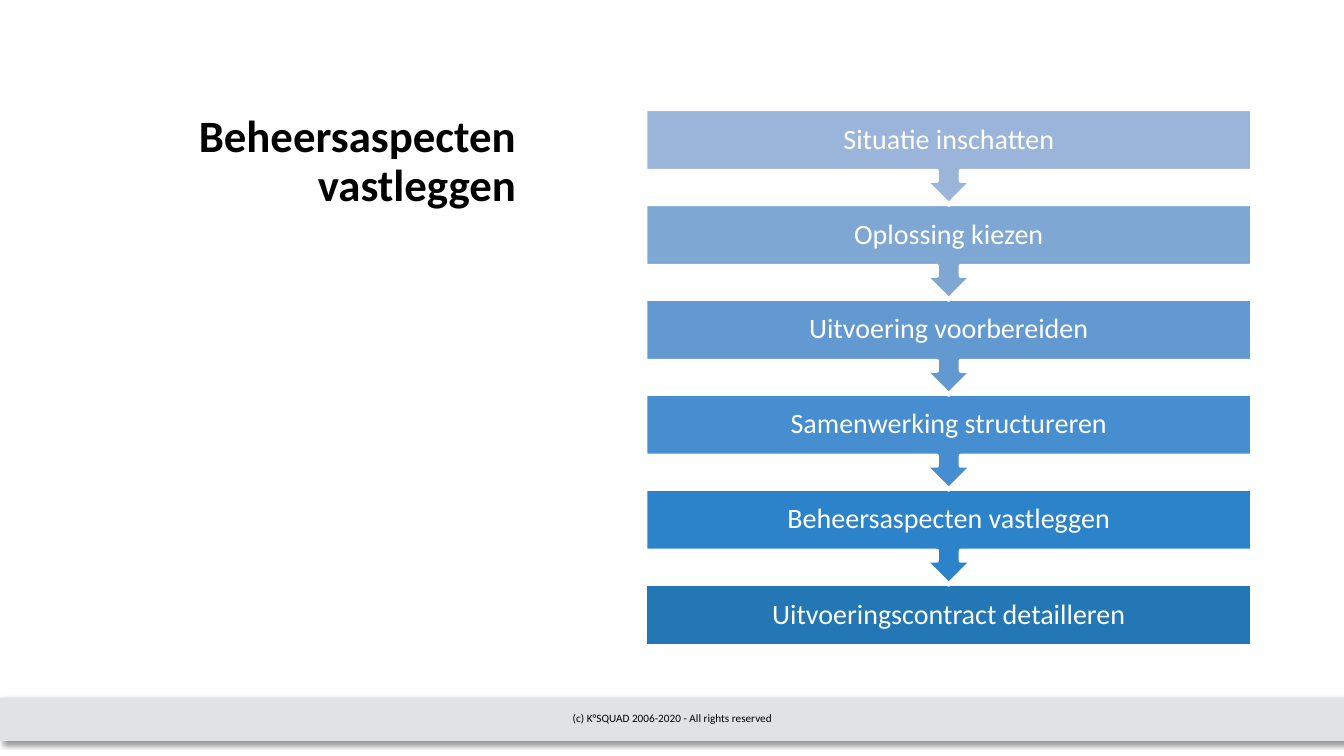
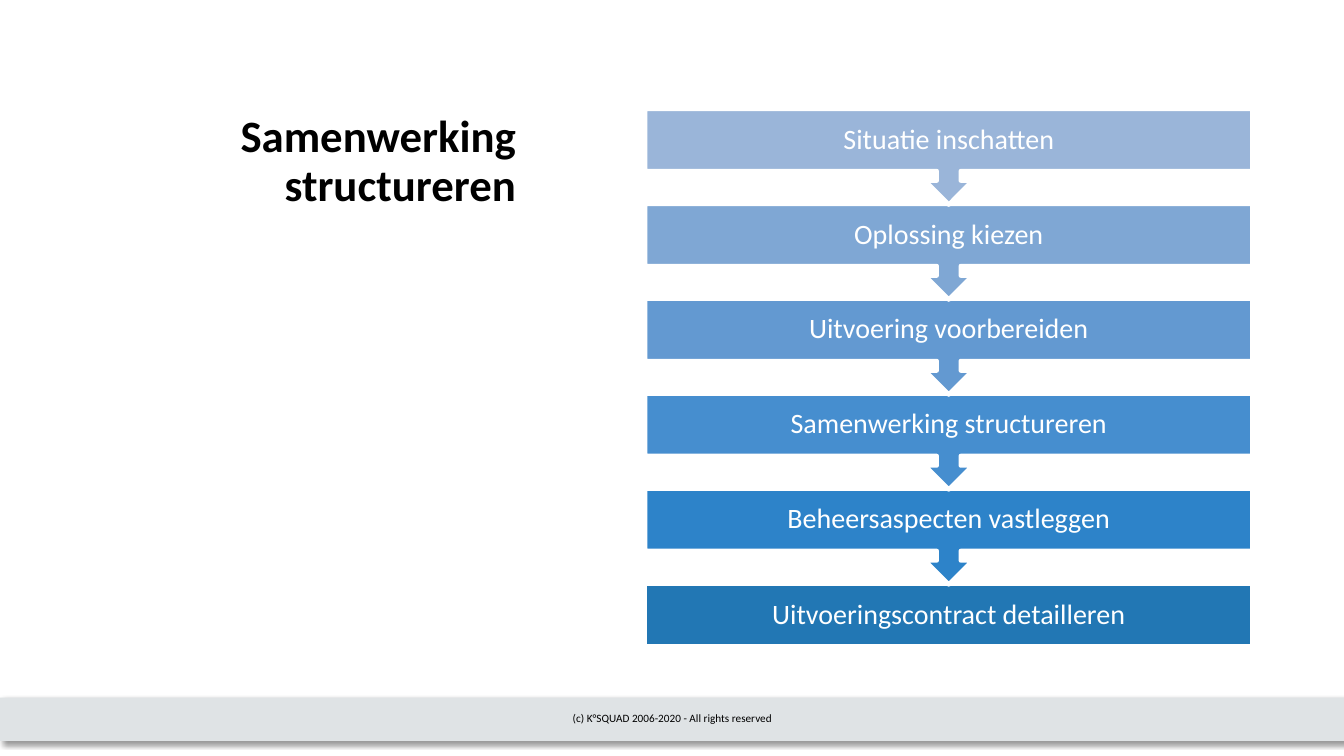
from dataclasses import dataclass

from lxml import etree
from pptx import Presentation
from pptx.dml.color import RGBColor
from pptx.enum.shapes import MSO_SHAPE
from pptx.enum.text import MSO_ANCHOR, MSO_AUTO_SIZE, PP_ALIGN
from pptx.oxml.ns import qn
from pptx.util import Inches, Pt

RECTANGLE = MSO_SHAPE.RECTANGLE
DOWN_CALLOUT = MSO_SHAPE.DOWN_ARROW_CALLOUT
TOP, MIDDLE = MSO_ANCHOR.TOP, MSO_ANCHOR.MIDDLE
CENTER, RIGHT = PP_ALIGN.CENTER, PP_ALIGN.RIGHT
NO_AUTOFIT = MSO_AUTO_SIZE.NONE
TITLE_ONLY = 5


@dataclass(frozen=True)
class Theme:
    """Colours, font and type sizes shared by all slides."""
    font: str = "Calibri"
    black: str = "000000"
    white: str = "FFFFFF"
    band: str = "DFE3E5"
    steps: tuple = ("9AB5D9", "7FA7D4", "6399D1", "468ECF", "2D83C9", "2277B4")
    title_size: int = 32
    step_size: int = 20
    footer_size: int = 8
    outline: float = 3.15


@dataclass(frozen=True)
class Box:
    """A region of the slide in inches."""
    left: float
    top: float
    width: float
    height: float

    def lengths(self):
        """Return left, top, width and height as slide lengths."""
        return [Inches(value) for value in (self.left, self.top, self.width, self.height)]


THEME = Theme()
PAGE = Box(0, 0, 13.33, 7.5)
BAND_BOX = Box(0, 6.92, 13.33, 0.43)
TITLE_BOX = Box(0.92, 1.08, 4.3, 1.17)
STEPS_BOX = Box(6.4, 1.08, 6.02, 5.33)
FOOTER_BOX = Box(4.42, 6.92, 4.5, 0.4)
LAST_STEP_HEIGHT = 0.62
CALLOUT_HEIGHT = 0.95
STEP_INSET = 0.16

STEPS = (
    "Situatie inschatten",
    "Oplossing kiezen",
    "Uitvoering voorbereiden",
    "Samenwerking structureren",
    "Beheersaspecten vastleggen",
    "Uitvoeringscontract detailleren",
)
TITLES = ("Beheersaspecten vastleggen", "Samenwerking structureren")
FOOTER = "(c) K°SQUAD 2006-2020 - All rights reserved"


def set_all(target, values):
    """Set each named attribute on the target."""
    for name, value in values.items():
        setattr(target, name, value)


def write_text(shape, text, size, color, align, anchor, spacing=1.0, bold=False, inset=None):
    """Fill a shape with one formatted paragraph."""
    frame = shape.text_frame
    frame.text = text
    set_all(frame, {"word_wrap": True, "auto_size": NO_AUTOFIT, "vertical_anchor": anchor})
    if inset is not None:
        sides = ("left", "top", "right", "bottom")
        set_all(frame, {f"margin_{side}": Inches(inset) for side in sides})
    para = frame.paragraphs[0]
    set_all(para, {"alignment": align, "line_spacing": spacing})
    span = para.runs[0]
    set_all(span.font, {"name": THEME.font, "size": Pt(size), "bold": bold})
    span.font.color.rgb = RGBColor.from_string(color)


def add_block(page, kind, box, fill, outline=None):
    """Add a filled preset shape without its default shadow."""
    block = page.shapes.add_shape(kind, *box.lengths())
    block.shadow.inherit = False
    block.fill.solid()
    block.fill.fore_color.rgb = RGBColor.from_string(fill)
    if outline:
        block.line.color.rgb = RGBColor.from_string(outline)
        block.line.width = Pt(THEME.outline)
    else:
        block.line.fill.background()
    return block


def add_band(page, box):
    """Place the shadowed footer band on the layout of the page."""
    band = add_block(page, RECTANGLE, box, THEME.band)
    effects = band.element.spPr.find(qn("a:effectLst"))
    shadow = etree.SubElement(effects, qn("a:outerShdw"), {
        "blurRad": str(Pt(4)), "dist": str(Pt(3)),
        "dir": str(45 * 60000), "algn": "tl", "rotWithShape": "0",
    })
    color = etree.SubElement(shadow, qn("a:srgbClr"), val=THEME.black)
    etree.SubElement(color, qn("a:alpha"), val="40000")
    page.slide_layout.shapes.element.insert(2, band.element)


def add_title(page, box, text):
    """Place the right-aligned title in its placeholder."""
    title = page.shapes.title
    set_all(title, dict(zip(("left", "top", "width", "height"), box.lengths())))
    write_text(title, text, THEME.title_size, THEME.black, RIGHT, TOP, 0.9, True)


def add_steps(page, box, labels):
    """Stack the steps from bottom to top so each arrow overlaps the next step."""
    last = len(labels) - 1
    pitch = (box.height - LAST_STEP_HEIGHT) / last
    for index in range(last, -1, -1):
        kind, height = (
            (RECTANGLE, LAST_STEP_HEIGHT) if index == last else (DOWN_CALLOUT, CALLOUT_HEIGHT)
        )
        step_box = Box(box.left, box.top + index * pitch, box.width, height)
        step = add_block(page, kind, step_box, THEME.steps[index], THEME.white)
        write_text(step, labels[index], THEME.step_size, THEME.white,
                   CENTER, MIDDLE, 0.9, inset=STEP_INSET)


def add_footer(page, box):
    """Place the copyright line over the band."""
    footer = page.shapes.add_textbox(*box.lengths())
    write_text(footer, FOOTER, THEME.footer_size, THEME.black, CENTER, MIDDLE)


def add_step_slide(deck, title):
    """Add a slide with a title, the step flow and the footer."""
    page = deck.slides.add_slide(deck.slide_layouts[TITLE_ONLY])
    add_title(page, TITLE_BOX, title)
    add_steps(page, STEPS_BOX, STEPS)
    add_footer(page, FOOTER_BOX)
    return page


def main():
    """Build and save the deck."""
    deck = Presentation()
    set_all(deck, {"slide_width": Inches(PAGE.width), "slide_height": Inches(PAGE.height)})
    pages = [add_step_slide(deck, title) for title in TITLES]
    add_band(pages[0], BAND_BOX)
    deck.save("out.pptx")


if __name__ == "__main__":
    main()
